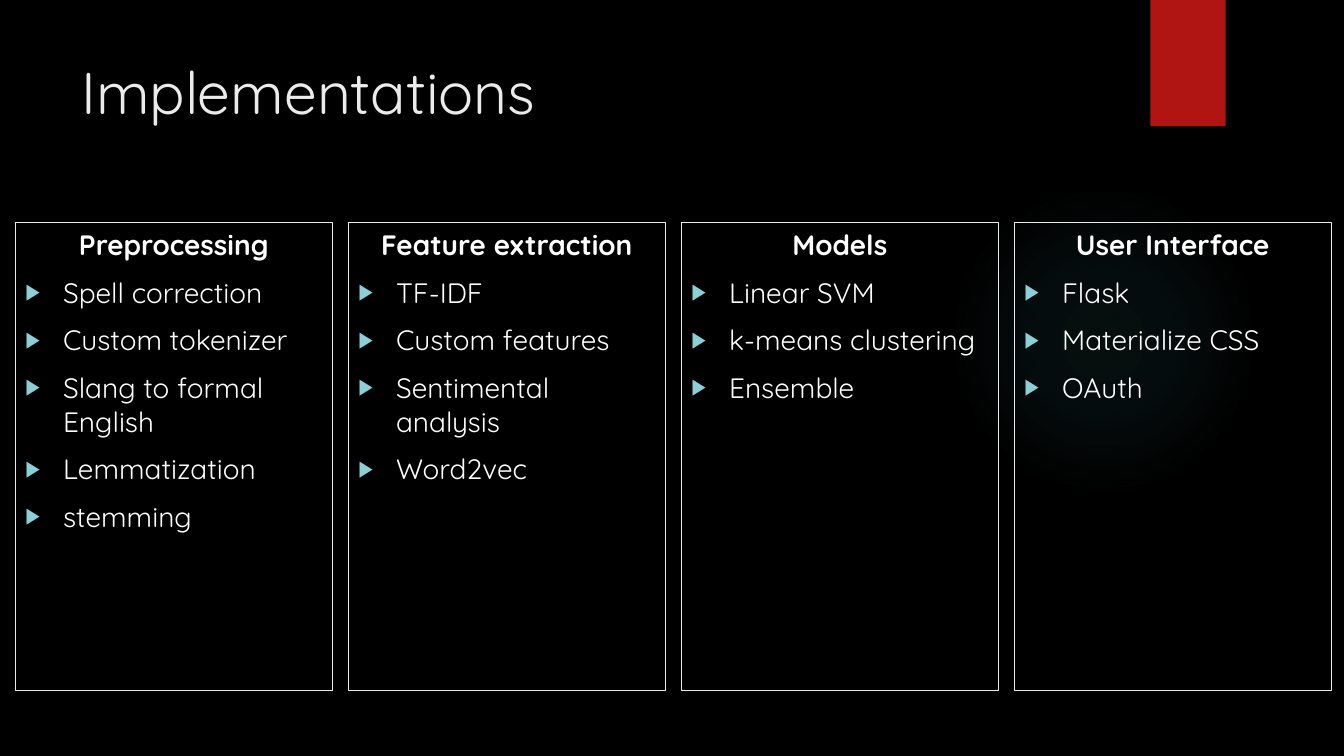
import pptx
import pptx.util
import pptx.oxml
import pptx.oxml.ns
import pptx.dml.color
import pptx.enum.shapes
import pptx.enum.text
from lxml import etree

Cm = pptx.util.Cm
Pt = pptx.util.Pt
RGB = pptx.dml.color.RGBColor
Shape = pptx.enum.shapes.MSO_SHAPE
Align = pptx.enum.text.PP_ALIGN
Anchor = pptx.enum.text.MSO_ANCHOR

BLACK = RGB(0x00, 0x00, 0x00)
WHITE = RGB(0xFF, 0xFF, 0xFF)
PALE = RGB(0xEB, 0xEB, 0xEB)
RED = RGB(0xB0, 0x15, 0x13)
AQUA = RGB(0x8A, 0xD0, 0xD6)
TEAL = RGB(0x50, 0xB9, 0xC1)
FONT = "Quicksand"
INDENT = Cm(0.95)

COLUMNS = [
    ("Preprocessing", ["Spell correction", "Custom tokenizer",
                       "Slang to formal English", "Lemmatization", "stemming"]),
    ("Feature extraction", ["TF-IDF", "Custom features",
                            "Sentimental analysis", "Word2vec"]),
    ("Models", ["Linear SVM", "k-means clustering", "Ensemble"]),
    ("User Interface", ["Flask", "Materialize CSS", "OAuth"]),
]


def add_run(para, text, size, color, bold=False):
    run = para.add_run()
    run.text = text
    font = run.font
    font.name, font.size, font.bold = FONT, Pt(size), bold
    font.color.rgb = color


def add_plain(slide, kind, box):
    """Add a shape with no fill, line or shadow."""
    shape = slide.shapes.add_shape(kind, *box)
    shape.shadow.inherit = False
    shape.fill.background()
    shape.line.fill.background()
    return shape


def add_glow(slide, box):
    shape = add_plain(slide, Shape.OVAL, box)
    stops = "".join(
        f'<a:gs pos="{pos * 1000}"><a:srgbClr val="{TEAL}">'
        f'<a:alpha val="{alpha * 1000}"/></a:srgbClr></a:gs>'
        for pos, alpha in [(0, 7), (36, 6), (69, 0)])
    grad = pptx.oxml.parse_xml(
        f'<a:gradFill {pptx.oxml.ns.nsdecls("a")}><a:gsLst>{stops}</a:gsLst>'
        '<a:path path="circle"><a:fillToRect l="50000" t="50000" '
        'r="50000" b="50000"/></a:path></a:gradFill>')
    props = shape.element.spPr
    props.replace(props.find(pptx.oxml.ns.qn("a:noFill")), grad)


def add_tab(slide, box):
    shape = add_plain(slide, Shape.RECTANGLE, box)
    shape.fill.solid()
    shape.fill.fore_color.rgb = RED


def add_title(slide, box, text):
    frame = slide.shapes.add_textbox(*box).text_frame
    frame.word_wrap = True
    add_run(frame.paragraphs[0], text, 42, PALE)


def set_bullet(para):
    props = para._p.get_or_add_pPr()
    props.set("marL", str(INDENT))
    props.set("indent", str(-INDENT))
    tag = pptx.oxml.ns.qn
    color = etree.SubElement(props, tag("a:buClr"))
    etree.SubElement(color, tag("a:srgbClr"), val=str(AQUA))
    etree.SubElement(props, tag("a:buSzPct"), val="80000")
    etree.SubElement(props, tag("a:buFont"), typeface="Arial")
    etree.SubElement(props, tag("a:buChar"), char="▶")


def add_column(slide, box, head, items):
    shape = add_plain(slide, Shape.RECTANGLE, box)
    shape.line.color.rgb = PALE
    shape.line.width = Pt(0.75)
    frame = shape.text_frame
    frame.word_wrap = True
    frame.vertical_anchor = Anchor.TOP
    para = frame.paragraphs[0]
    para.alignment = Align.CENTER
    add_run(para, head, 20, WHITE, bold=True)
    for item in items:
        para = frame.add_paragraph()
        para.alignment = Align.LEFT
        para.space_before = Pt(10)
        set_bullet(para)
        add_run(para, item, 20, WHITE)


def add_columns(slide, box, gap):
    left, top, width, height = box
    count = len(COLUMNS)
    wide = (width - gap * (count - 1)) // count
    for i, (head, items) in enumerate(COLUMNS):
        add_column(slide, (left + i * (wide + gap), top, wide, height),
                   head, items)


def main():
    deck = pptx.Presentation()
    deck.slide_width, deck.slide_height = Cm(33.87), Cm(19.05)
    slide = deck.slides.add_slide(deck.slide_layouts[6])
    back = slide.background.fill
    back.solid()
    back.fore_color.rgb = BLACK
    add_glow(slide, (Cm(23.9), Cm(4.65), Cm(7.82), Cm(7.82)))
    add_tab(slide, (Cm(28.99), Cm(0), Cm(1.9), Cm(3.18)))
    add_title(slide, (Cm(1.8), Cm(1.27), Cm(26.14), Cm(3.89)),
              "Implementations")
    add_columns(slide, (Cm(0.39), Cm(5.61), Cm(33.16), Cm(11.79)), Cm(0.41))
    deck.save("out.pptx")


if __name__ == "__main__":
    main()
